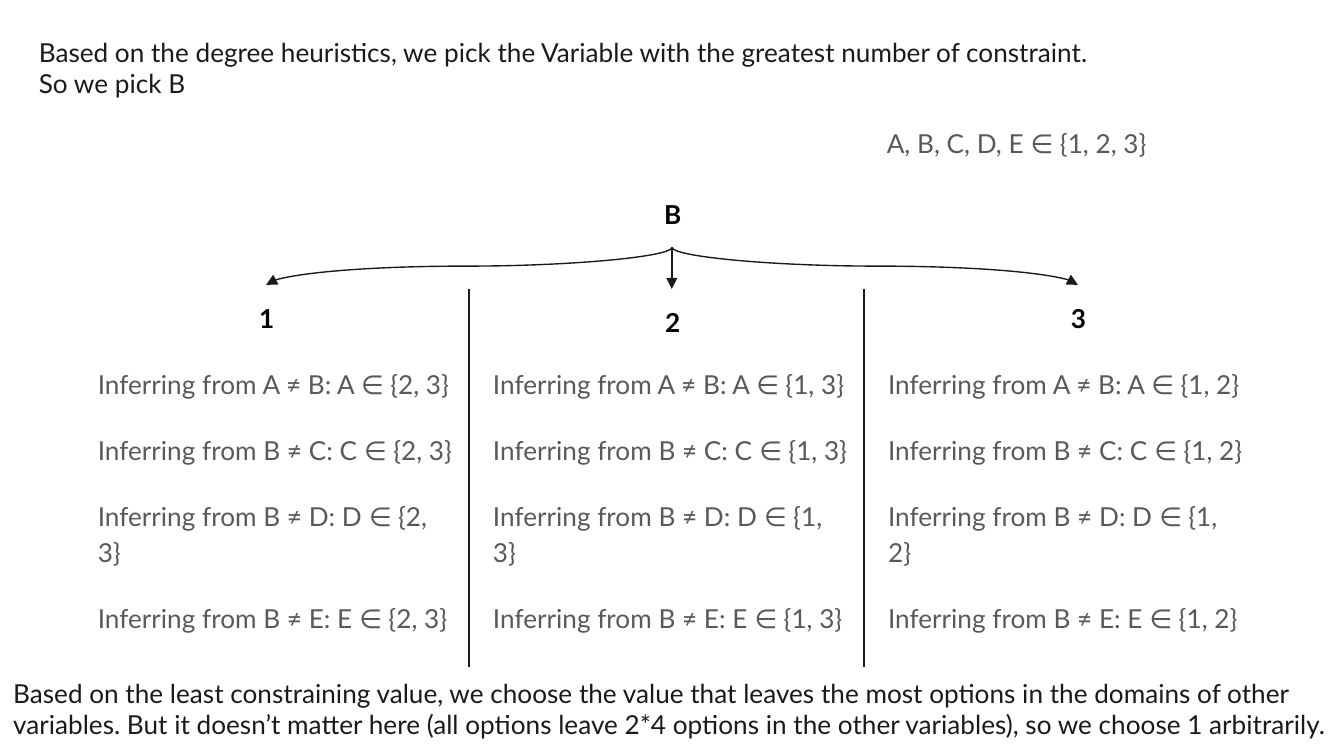
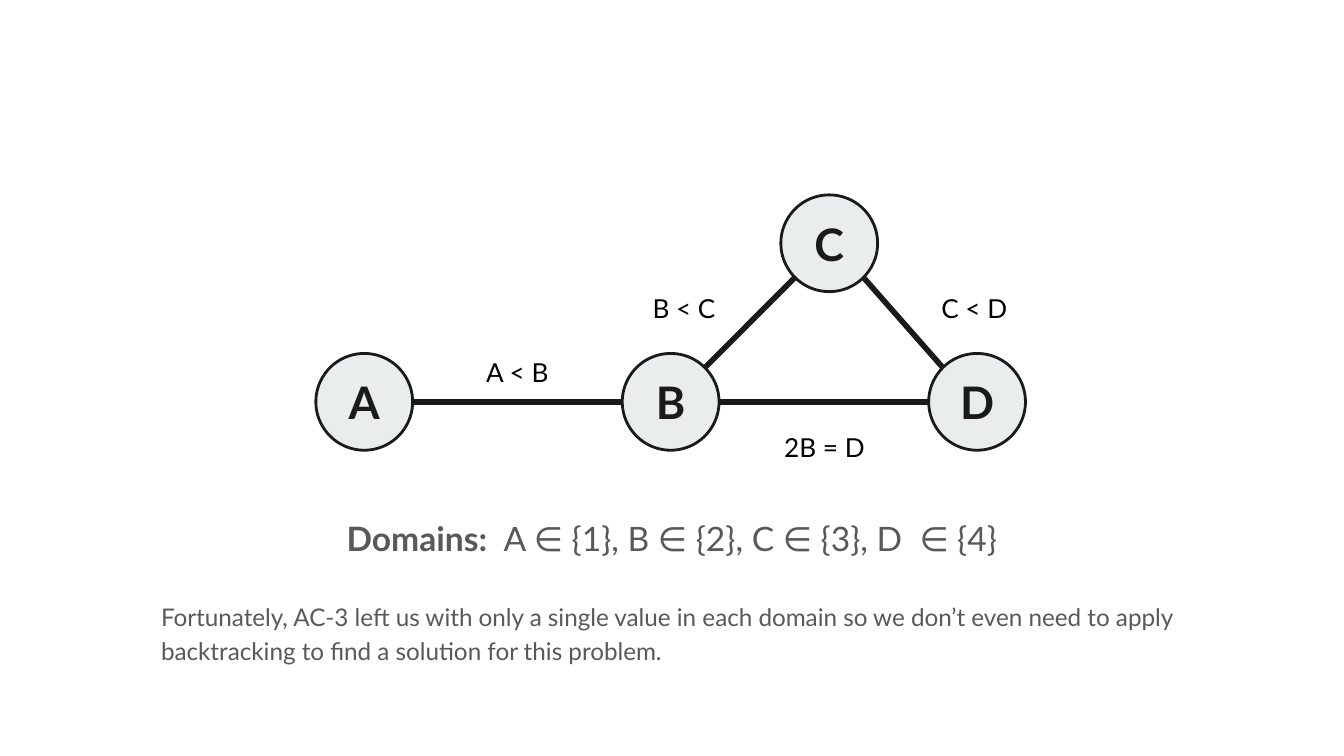
from math import cos, radians, sin

from lxml import etree
from pptx import Presentation
from pptx.dml.color import RGBColor
from pptx.enum.shapes import MSO_CONNECTOR, MSO_SHAPE
from pptx.enum.text import MSO_ANCHOR, PP_ALIGN
from pptx.oxml.ns import qn
from pptx.util import Inches, Pt

STRAIGHT, CURVE = MSO_CONNECTOR.STRAIGHT, MSO_CONNECTOR.CURVE
OVAL = MSO_SHAPE.OVAL
TOP, MIDDLE = MSO_ANCHOR.TOP, MSO_ANCHOR.MIDDLE
LEFT, CENTER = PP_ALIGN.LEFT, PP_ALIGN.CENTER

FONT = "Lato"
INK, BLACK, GRAY, NODE_FILL = "1A1A1A", "000000", "595959", "E9EDEE"
NODE_SIZE = 0.72
# Connection sites of an ellipse, counted counter-clockwise from the top
NODE_TOP_LEFT, NODE_LEFT, NODE_BOTTOM_LEFT = 1, 2, 3
NODE_BOTTOM_RIGHT, NODE_RIGHT, NODE_TOP_RIGHT = 5, 6, 7


def color(hex_code):
    return RGBColor.from_string(hex_code)


def write(frame, text, lead="", size=14, ink=INK, bold=False, align=LEFT,
          anchor=TOP, line_spacing=None, gap=0):
    """Fill a frame, one paragraph per line.

    lead is a bold opening; gap is the space, in points, between and after paragraphs.
    """
    frame.word_wrap = True
    frame.vertical_anchor = anchor
    frame.margin_left = frame.margin_right = Inches(0.1)
    frame.margin_top = frame.margin_bottom = Inches(0.1)
    for index, line in enumerate(text.split("\n")):
        paragraph = frame.add_paragraph() if index else frame.paragraphs[0]
        paragraph.alignment = align
        if line_spacing:
            paragraph.line_spacing = line_spacing
        if index and gap:
            paragraph.space_before = Pt(gap)
        parts = [(line, bold)]
        if lead and not index:
            parts.insert(0, (lead, True))
        for words, is_bold in parts:
            run = paragraph.add_run()
            run.text = words
            run.font.name = FONT
            run.font.size = Pt(size)
            run.font.bold = is_bold
            run.font.color.rgb = color(ink)
    if gap:
        paragraph.space_after = Pt(gap)


def site_point(node, site):
    """Return the place, in EMU, of an ellipse's connection site."""
    radius = node.width / 2
    angle = radians(90 + 45 * site)
    return (round(node.left + radius * (1 + cos(angle))),
            round(node.top + radius * (1 - sin(angle))))


class Deck:
    def __init__(self):
        self.presentation = Presentation()
        self.presentation.slide_width = Inches(10)
        self.presentation.slide_height = Inches(10 * 9 / 16)
        self.slide = None

    def new_slide(self):
        self.slide = self.presentation.slides.add_slide(
            self.presentation.slide_layouts[6])
        background = self.slide.background.fill
        background.solid()
        background.fore_color.rgb = color("FFFFFF")

    def text(self, left, top, width, height, text, **style):
        box = self.slide.shapes.add_textbox(
            Inches(left), Inches(top), Inches(width), Inches(height))
        write(box.text_frame, text, **style)

    def label(self, left, top, width, height, text, **style):
        self.text(left, top, width, height, text,
                  **{"ink": BLACK, "align": CENTER, "anchor": MIDDLE, **style})

    def node(self, left, top, letter):
        circle = self.slide.shapes.add_shape(
            OVAL, Inches(left), Inches(top), Inches(NODE_SIZE), Inches(NODE_SIZE))
        circle.shadow.inherit = False
        circle.fill.solid()
        circle.fill.fore_color.rgb = color(NODE_FILL)
        circle.line.color.rgb = color(INK)
        circle.line.width = Pt(1.5)
        write(circle.text_frame, letter, size=24, bold=True,
              align=CENTER, anchor=MIDDLE)
        return circle

    def line(self, start, end, weight=0.75, kind=STRAIGHT):
        connector = self.slide.shapes.add_connector(kind, *start, *end)
        connector.line.color.rgb = color(INK)
        connector.line.width = Pt(weight)
        etree.SubElement(connector.element.spPr, qn("a:effectLst"))
        return connector

    def edge(self, start_node, start_site, end_node, end_site):
        """Join two circles; the sites are written as XML as they number eight."""
        connector = self.line(site_point(start_node, start_site),
                              site_point(end_node, end_site), weight=3)
        joints = connector.element.find(".//" + qn("p:cNvCxnSpPr"))
        for tag, node, site in (("a:stCxn", start_node, start_site),
                                ("a:endCxn", end_node, end_site)):
            etree.SubElement(joints, qn(tag), id=str(node.shape_id), idx=str(site))

    def branch(self, x, y, end_x, end_y):
        """Draw a curved arrow that leaves and arrives vertically (a turned S curve)."""
        center_x, center_y = (x + end_x) / 2, (y + end_y) / 2
        half_drop, half_span = (end_y - y) / 2, abs(end_x - x) / 2
        rightward = end_x >= x
        side = half_drop if rightward else -half_drop
        arrow = self.line(
            (Inches(center_x + side), Inches(center_y - half_span)),
            (Inches(center_x - side), Inches(center_y + half_span)), kind=CURVE)
        arrow.rotation = 270 if rightward else 90
        outline = arrow.element.spPr.find(qn("a:ln"))
        etree.SubElement(outline, qn("a:tailEnd"), type="triangle")


def build_value_choice(deck):
    deck.new_slide()
    deck.text(0.19, 0.17, 9.61, 0.86,
              "Based on the degree heuristics, we pick the Variable with the "
              "greatest number of constraint.\nSo we pick B")
    deck.text(6.5, 0.85, 3.44, 0.94, "A, B, C, D, E ∈ {1, 2, 3}", ink=GRAY)
    deck.label(4.7, 1.35, 0.61, 0.49, "B", bold=True)

    # value of B, its center, its top, left of its inferences, remaining domain
    options = (
        ("1", 1.98, 2.12, 0.63, "{2, 3}"),
        ("2", 5, 2.15, 3.57, "{1, 3}"),
        ("3", 8.02, 2.12, 6.51, "{1, 2}"),
    )
    constraints = (("A ≠ B", "A"), ("B ≠ C", "C"), ("B ≠ D", "D"), ("B ≠ E", "E"))
    for value, center, top, left, domain in options:
        deck.branch(5, 1.84, center, top)
        deck.label(center - 0.3, top, 0.61, 0.49, value, bold=True)
        inferences = "\n".join(f"Inferring from {rule}: {variable} ∈ {domain}"
                               for rule, variable in constraints)
        deck.text(left, 2.61, 2.87, 2.33, inferences, ink=GRAY,
                  line_spacing=1.15, gap=16)
    for divider_x in (3.49, 6.43):
        deck.line((Inches(divider_x), Inches(2.15)),
                  (Inches(divider_x), Inches(4.96)))

    deck.text(0, 4.94, 10, 0.69,
              "Based on the least constraining value, we choose the value that "
              "leaves the most options in the domains of other variables. But it "
              "doesn’t matter here (all options leave 2*4 options in the other "
              "variables), so we choose 1 arbitrarily.")


def build_constraint_graph(deck):
    deck.new_slide()
    a, b, d = (deck.node(2.35 + 2.28 * column, 2.63, letter)
               for column, letter in enumerate("ABD"))
    c = deck.node(5.81, 1.45, "C")
    deck.edge(a, NODE_RIGHT, b, NODE_LEFT)
    deck.edge(b, NODE_TOP_RIGHT, c, NODE_BOTTOM_LEFT)
    deck.edge(b, NODE_RIGHT, d, NODE_LEFT)
    deck.edge(d, NODE_TOP_LEFT, c, NODE_BOTTOM_RIGHT)

    for left, top, width, constraint in (
            (3.45, 2.55, 0.8, "A < B"), (4.69, 2.07, 0.8, "B < C"),
            (6.85, 2.07, 0.8, "C < D"), (5.65, 3.11, 0.97, "2B = D")):
        deck.label(left, top, width, 0.44, constraint)

    deck.label(1.32, 3.67, 7.36, 0.67, "A ∈ {1}, B ∈ {2}, C ∈ {3}, D  ∈ {4}",
               lead="Domains:  ", size=18, ink=GRAY)
    deck.text(1.1, 4.35, 7.98, 0.67,
              "Fortunately, AC-3 left us with only a single value in each domain "
              "so we don’t even need to apply backtracking to find a solution for "
              "this problem.", size=13, ink=GRAY, line_spacing=1.15, gap=16)


def main():
    deck = Deck()
    build_value_choice(deck)
    build_constraint_graph(deck)
    deck.presentation.save("out.pptx")


if __name__ == "__main__":
    main()
